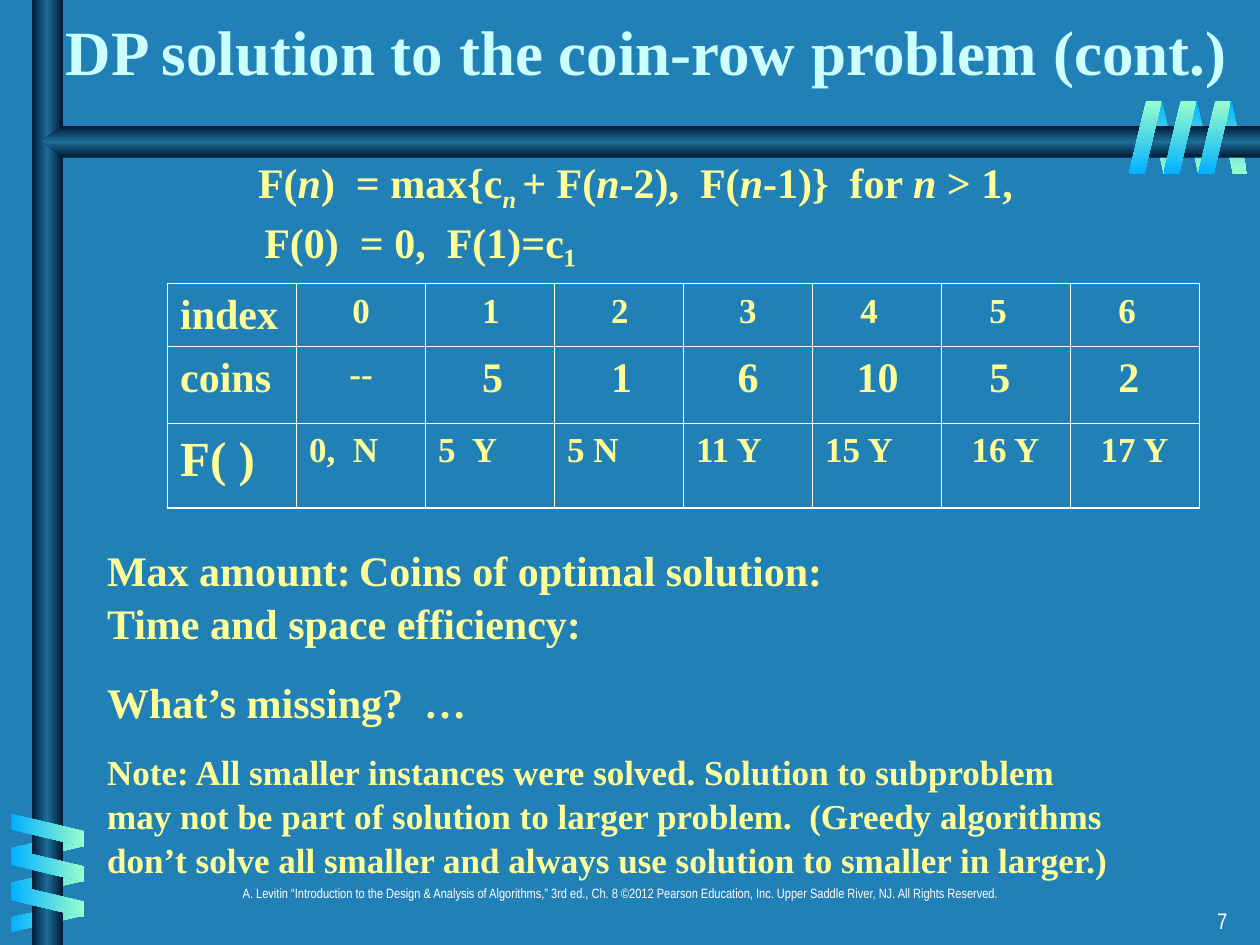
from dataclasses import dataclass

from lxml import etree
from pptx import Presentation
from pptx import util as u
from pptx.dml.color import RGBColor
from pptx.enum import shapes, text
from pptx.oxml.ns import qn

IN = u.Inches
LEFT, MID, RIGHT = (text.PP_ALIGN.LEFT, text.PP_ALIGN.CENTER,
                    text.PP_ALIGN.RIGHT)


@dataclass
class Theme:
    back: str = "2181B7"
    head: str = "CCFFFF"
    body: str = "FFFF99"
    white: str = "FFFFFF"
    serif: str = "Times New Roman"
    narrow: str = "Arial Narrow"
    cool: tuple = ("01B0FF", "99FFCC")
    warm: tuple = ("99FFCC", "01B0FF")
    tube: tuple = ("001932", "1C6D9A", "001932")
    title: float = 36
    large: float = 28
    main: float = 24
    note: float = 20
    page: float = 12.9
    foot: float = 7.7
    thick: float = 1.08
    thin: float = 0.45


def apply(item, vals):
    for key, val in vals.items():
        setattr(item, key, val)


class Deck:
    def __init__(self, theme):
        self.th = theme
        self.prs = Presentation()
        apply(self.prs, dict(slide_width=IN(10), slide_height=IN(7.5)))
        self.slide = self.prs.slides.add_slide(self.prs.slide_layouts[1])
        fill = self.slide.background.fill
        fill.solid()
        fill.fore_color.rgb = RGBColor.from_string(theme.back)

    def shade(self, shape, stops, angle):
        """Gradient that keeps its direction when the shape turns."""
        shape.shadow.inherit = False
        shape.line.fill.background()
        shape.fill.gradient()
        grad = shape._element.spPr.find(qn("a:gradFill"))
        grad.set("rotWithShape", "0")
        for kid in list(grad):
            grad.remove(kid)
        row = etree.SubElement(grad, qn("a:gsLst"))
        for i, color in enumerate(stops):
            pos = str(100000 * i // (len(stops) - 1))
            stop = etree.SubElement(row, qn("a:gs"), pos=pos)
            etree.SubElement(stop, qn("a:srgbClr"), val=color)
        etree.SubElement(grad, qn("a:lin"), ang=str(angle * 60000), scaled="0")

    def bar(self, box, stops, angle):
        shape = self.slide.shapes.add_shape(
            shapes.MSO_SHAPE.RECTANGLE, *map(IN, box))
        self.shade(shape, stops, angle)

    def arrow(self, points, stops, angle):
        spots = [(IN(x), IN(y)) for x, y in points]
        form = self.slide.shapes.build_freeform(*spots[0])
        form.add_line_segments(spots[1:], close=True)
        self.shade(form.convert_to_shape(), stops, angle)

    def coil(self, box, step, stops, angle, turn=0, flip=False):
        """Three equal slanted bands, one step apart."""
        x, y, w, h = box
        for i in range(3):
            band = self.slide.shapes.add_shape(
                shapes.MSO_SHAPE.PARALLELOGRAM, IN(x + i * step[0]),
                IN(y + i * step[1]), IN(w), IN(h))
            band.adjustments[0] = 0.53
            band.rotation = turn
            if flip:
                band._element.spPr.xfrm.set("flipH", "1")
            self.shade(band, stops, angle)

    def style(self, para, size, color=None, face=None, bold=True):
        apply(para.font, dict(size=u.Pt(size), name=face or self.th.serif,
                              bold=bold))
        para.font.color.rgb = RGBColor.from_string(color or self.th.body)

    def indent(self, para, left):
        props = para._p.get_or_add_pPr()
        props.set("marL", str(IN(left)))
        props.set("indent", "0")
        return props

    def place(self, shape, box):
        apply(shape, dict(zip(("left", "top", "width", "height"),
                              map(IN, box))))
        apply(shape.text_frame, dict(word_wrap=True,
                                     auto_size=text.MSO_AUTO_SIZE.NONE))
        return shape.text_frame

    def title(self, words, box):
        frame = self.place(self.slide.shapes.title, box)
        frame.vertical_anchor = text.MSO_ANCHOR.BOTTOM
        para = frame.paragraphs[0]
        para.text = words
        para.alignment = LEFT
        self.style(para, self.th.title, self.th.head)

    def body(self, items, box, tab):
        frame = self.place(self.slide.placeholders[1], box)
        for i, (lines, size, gap) in enumerate(items):
            para = frame.add_paragraph() if i else frame.paragraphs[0]
            props = self.indent(para, 0)
            etree.SubElement(props, qn("a:buNone"))
            tabs = etree.SubElement(props, qn("a:tabLst"))
            etree.SubElement(tabs, qn("a:tab"), pos=str(IN(tab)), algn="l")
            apply(para, dict(space_before=u.Pt(gap), line_spacing=1.05))
            for j, line in enumerate(lines):
                if j:
                    para.add_line_break()
                para.add_run().text = line
            self.style(para, size)

    def label(self, words, box, size, align, space):
        shape = self.slide.shapes.add_textbox(*map(IN, box))
        para = self.place(shape, box).paragraphs[0]
        para.text = words
        apply(para, dict(alignment=align, line_spacing=space))
        self.style(para, size, self.th.white, self.th.narrow, False)

    def rule(self, lines, box):
        """Formula lines of (align, indent, runs); marks: i italic, s sub."""
        shape = self.slide.shapes.add_textbox(*map(IN, box))
        frame = self.place(shape, box)
        for i, (align, left, runs) in enumerate(lines):
            para = frame.add_paragraph() if i else frame.paragraphs[0]
            self.indent(para, left)
            apply(para, dict(alignment=align, line_spacing=1.05))
            self.style(para, self.th.main)
            for words, marks in runs:
                run = para.add_run()
                run.text = words
                run.font.italic = "i" in marks
                if "s" in marks:
                    run.font._element.set("baseline", "-25000")

    def edge(self, cell, name, width):
        line = etree.SubElement(cell._tc.get_or_add_tcPr(), qn("a:" + name),
                                w=str(u.Pt(width)))
        fill = etree.SubElement(line, qn("a:solidFill"))
        etree.SubElement(fill, qn("a:srgbClr"), val=self.th.white)

    def table(self, rows, box, tall):
        last, end = len(rows) - 1, len(rows[0]) - 1
        grid = self.slide.shapes.add_table(
            last + 1, end + 1, *map(IN, box)).table
        apply(grid, dict(first_row=False, horz_banding=False))
        for r, row in enumerate(rows):
            grid.rows[r].height = IN(tall[r])
            for c, (words, size, left) in enumerate(row):
                cell = grid.cell(r, c)
                outer = dict(lnL=c == 0, lnR=c == end,
                             lnT=r == 0, lnB=r == last)
                for name, out in outer.items():
                    self.edge(cell, name, self.th.thick if out
                              else self.th.thin)
                cell.fill.background()
                para = cell.text_frame.paragraphs[0]
                para.text = words
                if left is None:
                    para.alignment = MID
                else:
                    self.indent(para, left)
                para.line_spacing = 1.05
                self.style(para, size)


def main():
    th = Theme()
    deck = Deck(th)

    # Tubes threaded through the coils
    deck.coil((9.11, 0.8, 0.24, 0.58), (0.275, 0), th.cool, 90, 180, True)
    deck.coil((0.25, 6.44, 0.24, 0.57), (0, 0.275), th.warm, 0, 90, True)
    deck.bar((0.25, 0, 0.25, 7.5), th.tube, 0)
    deck.arrow([(10, 1), (0.5, 1), (0.33, 1.12), (0.5, 1.25), (10, 1.25)],
               th.tube, 90)
    deck.coil((0.25, 6.3, 0.26, 0.58), (0, 0.28), th.cool, 0, 270)
    deck.coil((8.96, 0.8, 0.26, 0.58), (0.275, 0), th.warm, 90)

    # Footer and page number
    deck.label("A. Levitin “Introduction to the Design & Analysis of "
               "Algorithms,” 3rd ed., Ch. 8 ©2012 Pearson Education, Inc. "
               "Upper Saddle River, NJ. All Rights Reserved.",
               (1.42, 7, 7, 0.33), th.foot, MID, 0.8)
    deck.label("7", (7.76, 7.17, 2.08, 0.33), th.page, RIGHT, 0.9)

    deck.title("DP solution to the coin-row problem (cont.)",
               (0.42, 0, 9.58, 0.75))

    # Table of (text, size, indent); no indent means centred
    big, mid, low = th.large, th.main, th.note
    index = [("index", mid, 0), ("0", low, None), ("1", low, 0.35),
             ("2", low, 0.35), ("3", low, None)]
    index += [(n, low, 0.28) for n in "456"]
    coins = [("coins", mid, 0), ("--", low, None), ("5", mid, 0.35),
             ("1", mid, 0.35), ("6", mid, 0.33), ("10", mid, 0.25),
             ("5", mid, 0.28), ("2", mid, 0.28)]
    best = [("F( )", big, 0)]
    best += [(n, low, 0) for n in ("0,  N", "5  Y", "5 N", "11 Y", "15 Y")]
    best += [(n, low, 0.14) for n in ("16 Y", "17 Y")]
    deck.table([index, coins, best], (1.33, 2.25, 8.19, 1.78),
               (0.5, 0.61, 0.67))

    # Recurrence
    deck.rule([
        (MID, 0, [("F(", ""), ("n", "i"), (")  = max{c", ""), ("n ", "is"),
                  ("+ F(", ""), ("n", "i"), ("-2),  F(", ""), ("n", "i"),
                  ("-1)}  for ", ""), ("n ", "i"), ("> 1, ", "")]),
        (LEFT, 1.5, [("F(0)  = 0,  F(1)=c₁", "")]),
    ], (0.5, 1.17, 9.17, 0.96))

    # Questions and note
    deck.body([
        (["Max amount:\tCoins of optimal solution:",
          "Time and space efficiency:"], mid, 0),
        (["What’s missing?  …"], mid, 15),
        (["Note: All smaller instances were solved. Solution to subproblem "
          "may not be part of solution to larger problem.  (Greedy "
          "algorithms don’t solve all smaller and always use solution to "
          "smaller in larger.)"], low, 12.5),
    ], (0.75, 4.25, 8.25, 2.69), 2.77)

    deck.prs.save("out.pptx")


if __name__ == "__main__":
    main()
